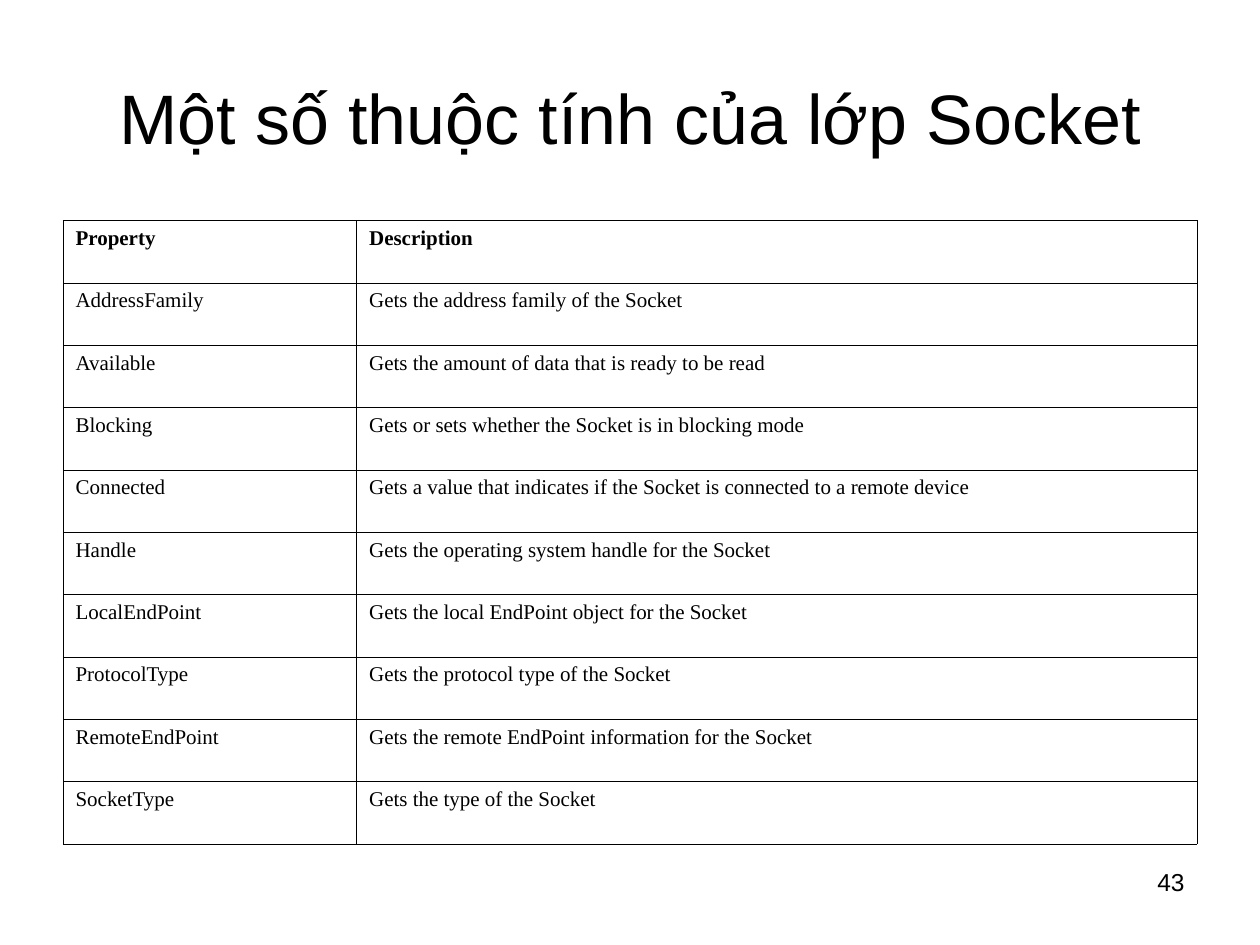
"""Build a slide that lists properties of the Socket class in a table."""
from dataclasses import dataclass

from lxml.etree import SubElement
from pptx import Presentation
from pptx.dml.color import RGBColor
from pptx.enum.text import MSO_ANCHOR as Anchor, MSO_AUTO_SIZE as AutoSize, PP_ALIGN as Align
from pptx.oxml.ns import qn
from pptx.util import Inches, Pt

COLOURS = {"text": "000000", "border": "000000", "background": "FFFFFF"}
SLIDE_WIDTH, SLIDE_HEIGHT = Inches(10), Inches(7.5)
BORDER_WIDTH = Pt(0.34)
HANGING_INDENT = Inches(0.38)
COLUMN_SHARES = (0.233, 0.667)


@dataclass(frozen=True)
class Area:
    left: float
    top: float
    width: float
    height: float

    def lengths(self) -> tuple[int, int, int, int]:
        return (int(self.left * SLIDE_WIDTH), int(self.top * SLIDE_HEIGHT),
                int(self.width * SLIDE_WIDTH), int(self.height * SLIDE_HEIGHT))


@dataclass(frozen=True)
class Property:
    name: str
    description: str


TITLE_AREA = Area(0.05, 0.04, 0.9, 1 / 6)
TABLE_AREA = Area(0.05, 1.75 / 7.5, 0.9, 0.66)
NUMBER_AREA = Area(0.717, 6.83 / 7.5, 0.233, 0.07)

PROPERTIES = (
    Property("Property", "Description"),
    Property("AddressFamily", "Gets the address family of the Socket"),
    Property("Available", "Gets the amount of data that is ready to be read"),
    Property("Blocking", "Gets or sets whether the Socket is in blocking mode"),
    Property("Connected", "Gets a value that indicates if the Socket is connected to a remote device"),
    Property("Handle", "Gets the operating system handle for the Socket"),
    Property("LocalEndPoint", "Gets the local EndPoint object for the Socket"),
    Property("ProtocolType", "Gets the protocol type of the Socket"),
    Property("RemoteEndPoint", "Gets the remote EndPoint information for the Socket"),
    Property("SocketType", "Gets the type of the Socket"),
)


def write_text(text_frame, text: str, *, size: float, font: str = "Arial", bold: bool = False,
               align=Align.LEFT, anchor=Anchor.TOP, indent: int = 0) -> None:
    text_frame.word_wrap = True
    text_frame.vertical_anchor = anchor
    paragraph = text_frame.paragraphs[0]
    paragraph.alignment = align
    if indent:
        properties = paragraph._p.get_or_add_pPr()
        properties.set("marL", str(indent))
        properties.set("indent", str(-indent))
    run = paragraph.add_run()
    run.text = text
    run.font.name, run.font.size, run.font.bold = font, Pt(size), bold
    run.font.color.rgb = RGBColor.from_string(COLOURS["text"])


def add_borders(cell) -> None:
    properties = cell._tc.get_or_add_tcPr()
    for position, side in enumerate(("lnL", "lnR", "lnT", "lnB")):
        line = SubElement(properties, qn(f"a:{side}"), w=str(BORDER_WIDTH))
        fill = SubElement(line, qn("a:solidFill"))
        SubElement(fill, qn("a:srgbClr"), val=COLOURS["border"])
        properties.insert(position, line)


def add_property_table(slide, properties: tuple[Property, ...], area: Area) -> None:
    left, top, width, height = area.lengths()
    table = slide.shapes.add_table(len(properties), len(COLUMN_SHARES), left, top, width, height).table
    table.first_row = table.horz_banding = False
    for column, share in zip(table.columns, COLUMN_SHARES):
        column.width = int(share * SLIDE_WIDTH)
    for index, (row, entry) in enumerate(zip(table.rows, properties)):
        row.height = height // len(properties)
        for cell, text in zip(row.cells, (entry.name, entry.description)):
            cell.fill.background()
            add_borders(cell)
            write_text(cell.text_frame, text, size=12, font="Times New Roman",
                       bold=index == 0, indent=HANGING_INDENT)


def main() -> None:
    presentation = Presentation()
    presentation.slide_width, presentation.slide_height = SLIDE_WIDTH, SLIDE_HEIGHT
    slide = presentation.slides.add_slide(presentation.slide_layouts[5])
    slide.background.fill.solid()
    slide.background.fill.fore_color.rgb = RGBColor.from_string(COLOURS["background"])

    title = slide.shapes.title
    title.left, title.top, title.width, title.height = TITLE_AREA.lengths()
    title.text_frame.auto_size = AutoSize.NONE
    write_text(title.text_frame, "Một số thuộc tính của lớp Socket", size=40,
               align=Align.CENTER, anchor=Anchor.MIDDLE)

    add_property_table(slide, PROPERTIES, TABLE_AREA)

    number = slide.shapes.add_textbox(*NUMBER_AREA.lengths())
    write_text(number.text_frame, "43", size=14, align=Align.RIGHT)
    presentation.save("out.pptx")


if __name__ == "__main__":
    main()
